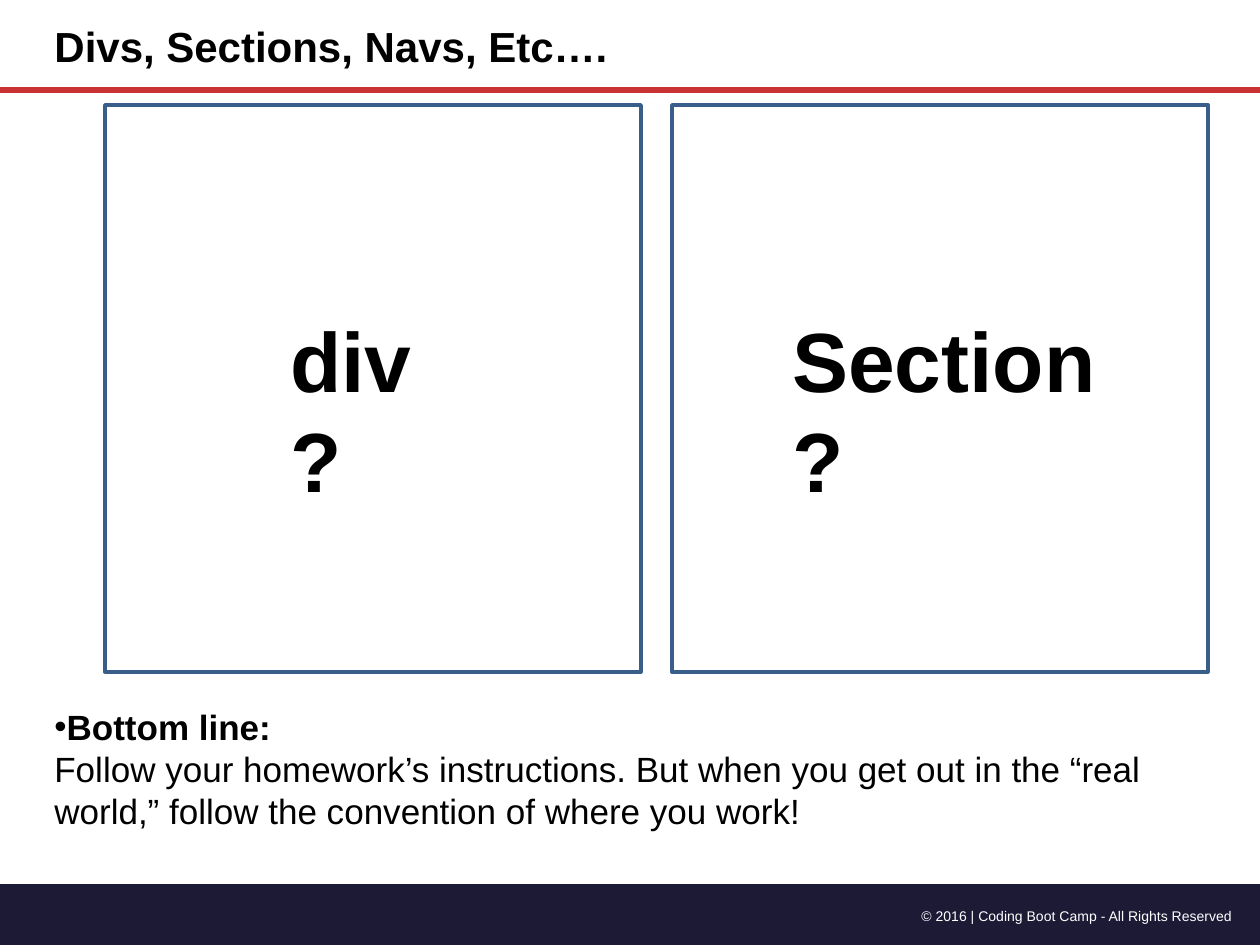
from dataclasses import dataclass

from lxml import etree
from pptx import Presentation
from pptx import util as u
from pptx.dml.color import RGBColor
from pptx.enum import shapes, text
from pptx.oxml.ns import qn

PX = u.Inches(1) // 126
SLIDE_WIDTH, SLIDE_HEIGHT = 1260, 945


@dataclass(frozen=True)
class Theme:
    font: str = "Arial"
    ink: str = "000000"
    paper: str = "FFFFFF"
    footer: str = "1D1A36"
    rule: str = "C83232"
    frame: str = "395E89"
    title_size: int = 24
    label_size: int = 48
    body_size: int = 20
    footer_size: int = 8
    leading: float = 1.2


THEME = Theme()


def color(value):
    return RGBColor.from_string(value)


def emu(*lengths):
    return [length * PX for length in lengths]


def add_text(slide, box, runs, size, ink=THEME.ink, align=text.PP_ALIGN.LEFT):
    """Write (wording, bold) runs as one paragraph, each run on a new line."""
    frame = slide.shapes.add_textbox(*emu(*box)).text_frame
    frame.word_wrap = True
    paragraph = frame.paragraphs[0]
    paragraph.alignment = align
    paragraph.line_spacing = u.Pt(size * THEME.leading)
    for index, (wording, bold) in enumerate(runs):
        if index:
            paragraph.add_line_break()
        run = paragraph.add_run()
        run.text = wording
        run.font.name = THEME.font
        run.font.size = u.Pt(size)
        run.font.bold = bold
        run.font.color.rgb = color(ink)
    return frame


def add_rectangle(slide, box, kind=shapes.MSO_SHAPE.RECTANGLE):
    shape = slide.shapes.add_shape(kind, *emu(*box))
    shape.shadow.inherit = False
    return shape


def add_footer(slide, box):
    left, top, width, height = box
    band = add_rectangle(slide, box, shapes.MSO_SHAPE.FLOWCHART_PROCESS)
    band.fill.solid()
    band.fill.fore_color.rgb = color(THEME.footer)
    band.line.fill.background()
    add_text(slide, (left + width - 399, top + 17, 384, 29),
             [("© 2016 | Coding Boot Camp - All Rights Reserved", False)],
             THEME.footer_size, THEME.paper, text.PP_ALIGN.RIGHT)


def add_header(slide, box):
    left, top, width, height = box
    bottom = top + height
    rule = slide.shapes.add_connector(shapes.MSO_CONNECTOR.STRAIGHT,
                                      *emu(left, bottom, left + width, bottom))
    rule.line.color.rgb = color(THEME.rule)
    rule.line.width = u.Pt(3.25)
    etree.SubElement(rule._element.spPr, qn("a:effectLst"))
    add_text(slide, (left + 42, top + 14, 788, 63),
             [("Divs, Sections, Navs, Etc….", True)], THEME.title_size)


def add_choice(slide, box, label, label_left, label_width):
    """Frame one option; its narrow label drops the question mark to a second line."""
    left, top, width, height = box
    frame = add_rectangle(slide, box)
    frame.fill.background()
    frame.line.color.rgb = color(THEME.frame)
    frame.line.width = u.Pt(2)
    add_text(slide, (left + label_left, top + 197, label_width, 113),
             [(label, True)], THEME.label_size)


def add_bottom_line(slide, box):
    frame = add_text(slide, box, [
        ("Bottom line: ", True),
        ("Follow your homework’s instructions. But when you get out in the "
         "“real world,” follow the convention of where you work!", False),
    ], THEME.body_size)
    frame.margin_top = frame.margin_bottom = u.Inches(0.1)
    properties = frame.paragraphs[0]._p.get_or_add_pPr()
    properties.set("marL", "0")
    properties.set("indent", "0")
    bullet_color = etree.SubElement(properties, qn("a:buClr"))
    etree.SubElement(bullet_color, qn("a:srgbClr"), val=THEME.ink)
    etree.SubElement(properties, qn("a:buFont"), typeface=THEME.font)
    etree.SubElement(properties, qn("a:buChar"), char="•")


def main():
    presentation = Presentation()
    presentation.slide_width, presentation.slide_height = emu(SLIDE_WIDTH, SLIDE_HEIGHT)
    slide = presentation.slides.add_slide(presentation.slide_layouts[6])
    slide.background.fill.solid()
    slide.background.fill.fore_color.rgb = color(THEME.paper)

    add_footer(slide, (0, 884, SLIDE_WIDTH, 63))
    add_header(slide, (0, 0, SLIDE_WIDTH, 90))
    add_bottom_line(slide, (42, 693, 1203, 168))
    choices = [("div?", 173, 197), ("Section?", 108, 379)]
    for column, choice in enumerate(choices):
        add_choice(slide, (105 + column * 567, 105, 536, 567), *choice)

    presentation.save("out.pptx")


if __name__ == "__main__":
    main()
